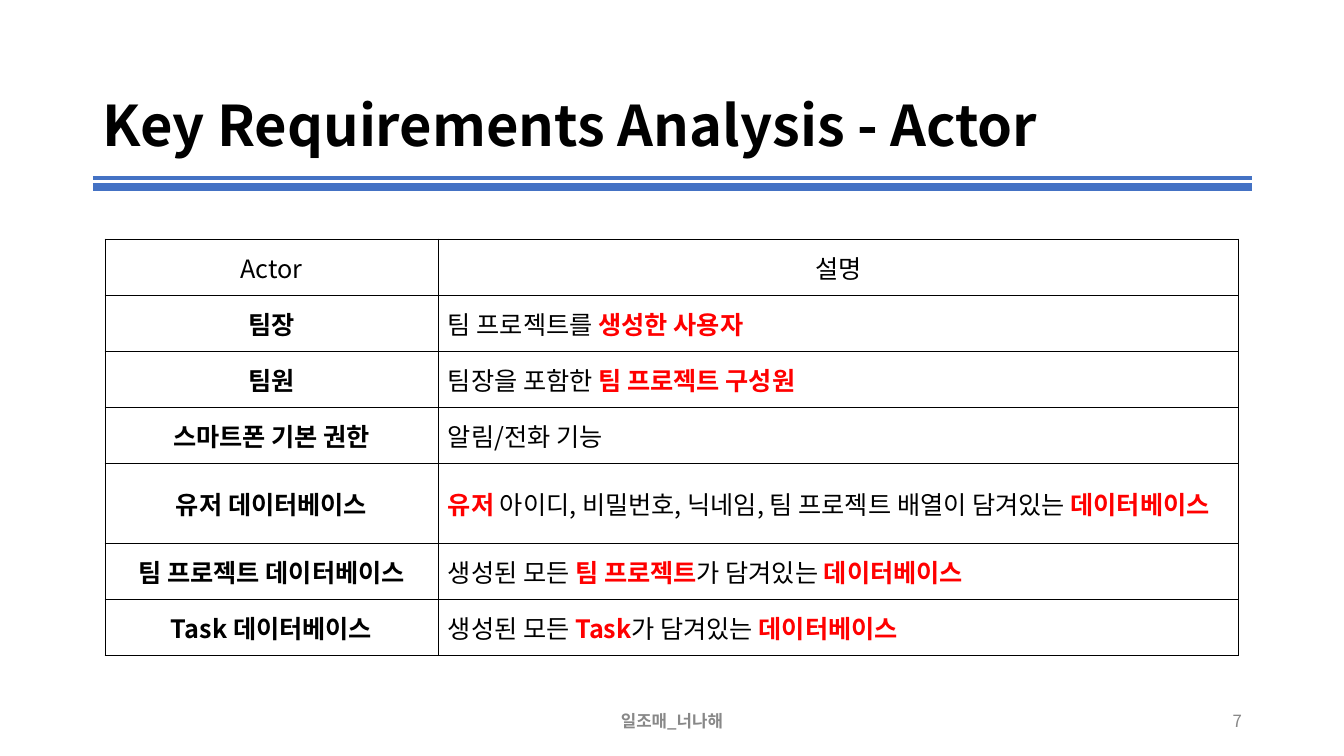
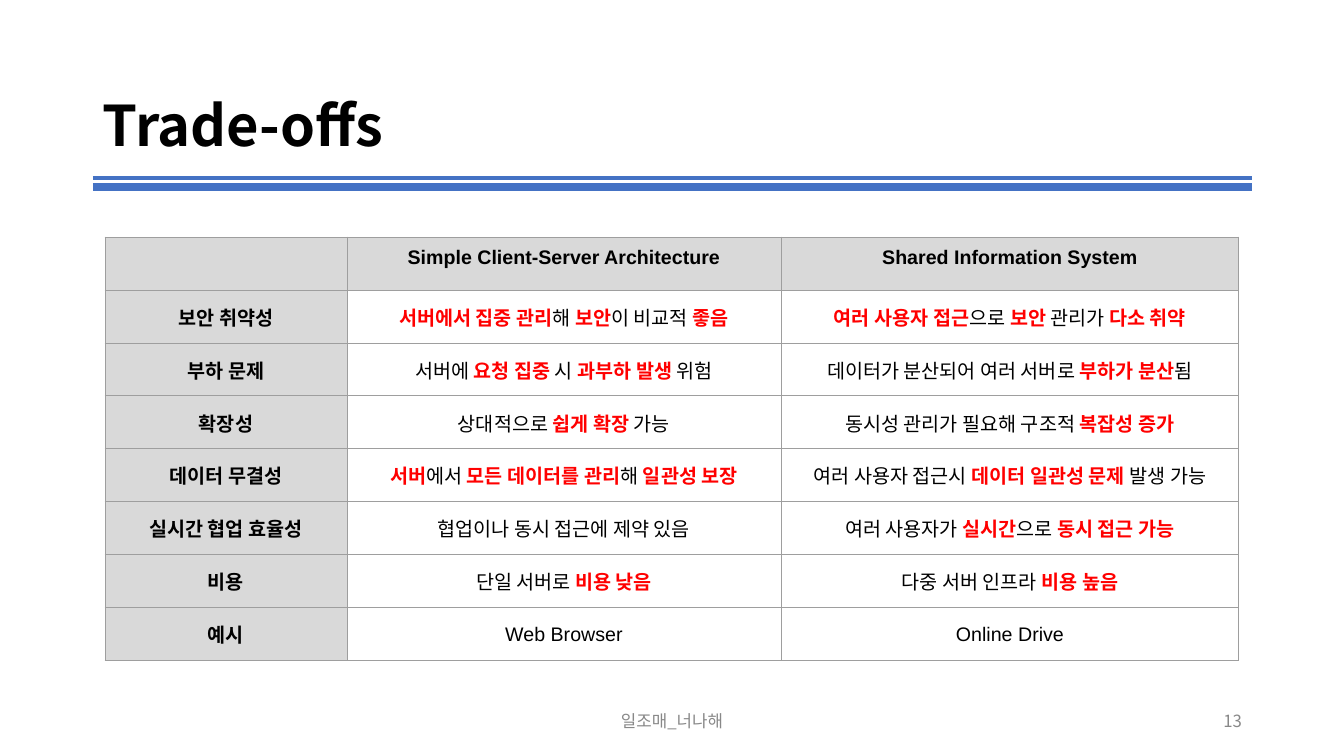
from lxml.etree import SubElement
from pptx import Presentation
from pptx.dml.color import RGBColor
from pptx.enum.shapes import MSO_CONNECTOR as CONN
from pptx.enum.text import MSO_ANCHOR as ANCHOR, PP_ALIGN as ALIGN
from pptx.oxml.ns import qn
from pptx.util import Emu, Pt

NOTO, ARIAL = "Noto Sans CJK KR", "Arial"
BLACK, RED, BLUE, GREY = "000000", "FF0000", "4472C4", "888888"
HEADER_FILL, GRID_GREY = "D9D9D9", "9E9E9E"
TEAM = "일조매_너나해"

ACTORS = [
    ("Actor", "설명"),
    ("팀장", "팀 프로젝트를 *생성한 사용자*"),
    ("팀원", "팀장을 포함한 *팀 프로젝트 구성원*"),
    ("스마트폰 기본 권한", "알림/전화 기능"),
    ("유저 데이터베이스",
     "*유저* 아이디, 비밀번호, 닉네임, 팀 프로젝트 배열이 담겨있는 *데이터베이스*"),
    ("팀 프로젝트 데이터베이스", "생성된 모든 *팀 프로젝트*가 담겨있는 *데이터베이스*"),
    ("Task 데이터베이스", "생성된 모든 *Task*가 담겨있는 *데이터베이스*"),
]

TRADE_OFFS = [
    ("", "Simple Client-Server Architecture", "Shared Information System"),
    ("보안 취약성", "*서버에서 집중 관리*해 *보안*이 비교적 *좋음*",
     "*여러 사용자 접근*으로 *보안* 관리가 *다소 취약*"),
    ("부하 문제", "서버에 *요청 집중* 시 *과부하 발생* 위험",
     "데이터가 분산되어 여러 서버로 *부하가 분산*됨"),
    ("확장성", "상대적으로 *쉽게 확장* 가능", "동시성 관리가 필요해 구조적 *복잡성 증가*"),
    ("데이터 무결성", "*서버*에서 *모든 데이터를 관리*해 *일관성 보장*",
     "여러 사용자 접근시 *데이터 일관성 문제 *발생 가능"),
    ("실시간 협업 효율성", "협업이나 동시 접근에 제약 있음",
     "여러 사용자가 *실시간*으로 *동시 접근 가능*"),
    ("비용", "단일 서버로 *비용 낮음*", "다중 서버 인프라 *비용 높음*"),
    ("예시", "Web Browser", "Online Drive"),
]


def px(n):
    """Turn pixels into EMU."""
    return Emu(round(n * 914400 / 100.8))


def rgb(color):
    """Turn a hex string into a colour."""
    return RGBColor.from_string(color)


def style(p, size, color=BLACK, bold=False, font=NOTO, align=ALIGN.LEFT):
    """Set the alignment and font of a paragraph."""
    p.alignment = align
    p.font.size, p.font.bold, p.font.name = Pt(size), bold, font
    p.font.color.rgb = rgb(color)
    props = p._p.get_or_add_pPr().find(qn("a:defRPr"))
    SubElement(props, qn("a:ea"), typeface=NOTO)


def write_marked(p, text):
    """Add runs, with the parts between asterisks bold and red."""
    for i, part in enumerate(text.split("*")):
        if part:
            r = p.add_run()
            r.text = part
            if i % 2:
                r.font.bold = True
                r.font.color.rgb = rgb(RED)


def add_text(slide, box, text, size, **look):
    """Add a one-paragraph text box, centred vertically."""
    tf = slide.shapes.add_textbox(*map(px, box)).text_frame
    tf.word_wrap = True
    tf.vertical_anchor = ANCHOR.MIDDLE
    p = tf.paragraphs[0]
    p.text = text
    style(p, size, **look)
    return p


def add_rule(slide, x, y, width, weight):
    """Add a horizontal blue rule."""
    line = slide.shapes.add_connector(CONN.STRAIGHT, px(x), px(y), px(x + width), px(y))
    line.line.color.rgb = rgb(BLUE)
    line.line.width = Pt(weight)
    SubElement(line._element.spPr, qn("a:effectLst"))


def add_frame(prs, title, number, team_bold=False):
    """Add a slide with its title, double rule and footer."""
    slide = prs.slides.add_slide(prs.slide_layouts[6])
    left, width = 93, 1159
    add_rule(slide, left, 187, width, 6)
    add_rule(slide, left, 178, width, 3)
    p = add_text(slide, (left, 55, width, 146), title, 40, bold=True)
    p.line_spacing = 0.9
    add_text(slide, (445, 701, 454, 40), TEAM, 12, color=GREY, bold=team_bold,
             align=ALIGN.CENTER)
    add_text(slide, (950, 701, 302, 40), str(number), 12, color=GREY, align=ALIGN.RIGHT)
    return slide


def set_borders(cell, color):
    """Draw thin lines on all four sides of a cell."""
    tc_pr = cell._tc.get_or_add_tcPr()
    for i, side in enumerate(("a:lnL", "a:lnR", "a:lnT", "a:lnB")):
        ln = SubElement(tc_pr, qn(side), w=str(Pt(0.75)))
        fill = SubElement(ln, qn("a:solidFill"))
        SubElement(fill, qn("a:srgbClr"), val=color)
        tc_pr.insert(i, ln)


def add_grid(slide, origin, widths, row_height, rows, size, border, font=NOTO,
             header_bold=False, header_fill=None, body_align=ALIGN.CENTER):
    """Add a table with a header row and a bold label column."""
    table = slide.shapes.add_table(
        len(rows), len(widths), *map(px, origin),
        px(sum(widths)), px(row_height * len(rows))).table
    table.first_row = table.horz_banding = False
    for column, width in zip(table.columns, widths):
        column.width = px(width)
    for i, row in enumerate(rows):
        table.rows[i].height = px(row_height)
        for j, text in enumerate(row):
            cell = table.cell(i, j)
            cell.margin_left = cell.margin_right = px(10)
            cell.margin_top = cell.margin_bottom = px(10)
            cell.vertical_anchor = ANCHOR.MIDDLE if i else ANCHOR.TOP
            if header_fill and (i == 0 or j == 0):
                cell.fill.solid()
                cell.fill.fore_color.rgb = rgb(header_fill)
            else:
                cell.fill.background()
            set_borders(cell, border)
            p = cell.text_frame.paragraphs[0]
            write_marked(p, text)
            style(p, size, font=font, bold=j == 0 if i else header_bold,
                  align=body_align if i and j else ALIGN.CENTER)


def add_actor_slide(prs):
    """Add the slide that lists the actors."""
    slide = add_frame(prs, "Key Requirements Analysis - Actor", 7, team_bold=True)
    add_grid(slide, (105, 239), (333, 801), 56, ACTORS, 18, BLACK, body_align=ALIGN.LEFT)


def add_trade_off_slide(prs):
    """Add the slide that compares two architectures."""
    slide = add_frame(prs, "Trade-offs", 13)
    add_grid(slide, (105, 237), (242, 434, 458), 53, TRADE_OFFS, 14, GRID_GREY,
             font=ARIAL, header_bold=True, header_fill=HEADER_FILL)


def main():
    """Build and save the presentation."""
    prs = Presentation()
    prs.slide_width, prs.slide_height = px(1344), px(756)
    add_actor_slide(prs)
    add_trade_off_slide(prs)
    prs.save("out.pptx")


if __name__ == "__main__":
    main()
